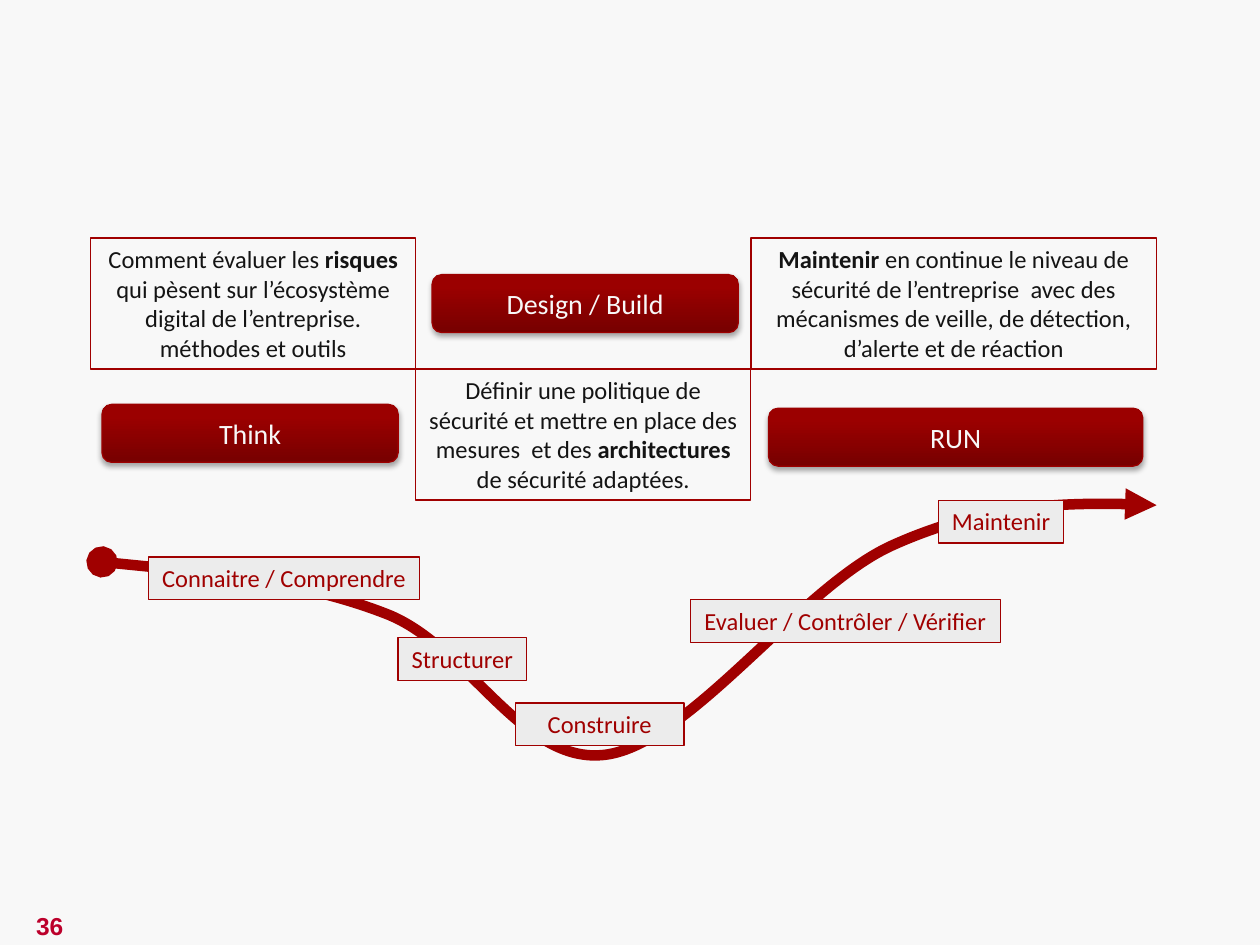
from dataclasses import dataclass

from lxml.etree import SubElement
from pptx import Presentation
from pptx.dml.color import RGBColor
from pptx.enum.shapes import MSO_SHAPE
from pptx.enum.text import MSO_ANCHOR, MSO_AUTO_SIZE, PP_ALIGN
from pptx.oxml.ns import qn
from pptx.shapes.autoshape import Shape
from pptx.slide import Slide
from pptx.util import Inches, Pt


@dataclass(frozen=True)
class Theme:
    """Colours, fonts and sizes of the slide."""
    back: str = "F8F8F8"
    ink: str = "141414"
    red: str = "A00000"
    edge: str = "9C0000"
    dark: str = "770000"
    glow: str = "9B0000"
    tag: str = "ECECEC"
    page: str = "BC002B"
    face: str = "Calibri"
    body: int = 14
    head: int = 16
    thin: float = 0.75
    thick: int = 6


@dataclass(frozen=True)
class Box:
    """A labelled frame in inches, with bold text between asterisks."""
    text: str
    left: float
    top: float
    width: float
    height: float
    wrap: bool = True


LOOK = Theme()
ROW, TAG, BAR = 1.04, 0.34, 0.46

NOTES = [
    Box("Comment évaluer les *risques* qui pèsent sur l’écosystème digital "
        "de l’entreprise. méthodes et outils", 0.72, 1.89, 2.58, ROW),
    Box("Définir une politique de sécurité et mettre en place des mesures  et des "
        "*architectures* de sécurité adaptées.", 3.3, 1.89 + ROW, 2.66, ROW),
    Box("*Maintenir* en continue le niveau de sécurité de l’entreprise  avec des "
        "mécanismes de veille, de détection, d’alerte et de réaction",
        5.96, 1.89, 3.22, ROW),
]
STEPS = [
    Box("Connaitre / Comprendre", 1.18, 4.42, 2.15, TAG, False),
    Box("Structurer", 3.16, 5.06, 1.02, TAG, False),
    Box("Construire", 4.09, 5.58, 1.34, TAG),
    Box("Evaluer / Contrôler / Vérifier", 5.48, 4.76, 2.46, TAG, False),
    Box("Maintenir", 7.45, 3.97, 0.99, TAG, False),
]
PHASES = [
    Box("Think", 0.81, 3.21, 2.35, BAR),
    Box("Design / Build", 3.43, 2.18, 2.43, BAR),
    Box("RUN", 6.1, 3.24, 2.97, BAR),
]
START = (0.81, 4.46)
BENDS = [
    (1.6, 4.54), (2.39, 4.61), (3.06, 4.87),
    (3.72, 5.12), (4.14, 6.08), (4.81, 5.99),
    (5.48, 5.9), (6.35, 4.66), (7.08, 4.33),
    (7.81, 4), (8.66, 3.98), (9.18, 4.01),
]


def tint(code: str) -> RGBColor:
    """Turn a hex code into a colour."""
    return RGBColor.from_string(code)


def write(shape: Shape, box: Box, color: str, size: int, face: str = LOOK.face,
          bold: bool = False) -> None:
    """Fill a shape with centred text."""
    frame = shape.text_frame
    frame.word_wrap = box.wrap
    para = frame.paragraphs[0]
    para.alignment = PP_ALIGN.CENTER
    font = para.font
    font.name, font.size, font.bold = face, Pt(size), bold
    font.color.rgb = tint(color)
    for index, part in enumerate(box.text.split("*")):
        if part:
            run = para.add_run()
            run.text = part
            if index % 2:
                run.font.bold = True


def place(box: Box) -> tuple:
    """Give the frame of a box as lengths."""
    return tuple(Inches(n) for n in (box.left, box.top, box.width, box.height))


def add_box(slide: Slide, box: Box, kind: MSO_SHAPE, edge: str) -> Shape:
    """Add a plain outlined shape."""
    shape = slide.shapes.add_shape(kind, *place(box))
    shape.shadow.inherit = False
    shape.line.color.rgb = tint(edge)
    shape.line.width = Pt(LOOK.thin)
    return shape


def add_card(slide: Slide, box: Box, color: str, fill: str = "") -> None:
    """Add a rectangle that fits its text."""
    shape = add_box(slide, box, MSO_SHAPE.RECTANGLE, LOOK.red)
    if fill:
        shape.fill.solid()
        shape.fill.fore_color.rgb = tint(fill)
    else:
        shape.fill.background()
    write(shape, box, color, LOOK.body)
    shape.text_frame.vertical_anchor = MSO_ANCHOR.TOP
    shape.text_frame.auto_size = MSO_AUTO_SIZE.SHAPE_TO_FIT_TEXT


def add_phase(slide: Slide, box: Box) -> None:
    """Add a shaded, rounded phase bar."""
    shape = add_box(slide, box, MSO_SHAPE.ROUNDED_RECTANGLE, LOOK.edge)
    shape.fill.gradient()
    shape.fill.gradient_angle = 90
    for stop, spot, code in zip(shape.fill.gradient_stops, (0, 0.8), (LOOK.dark, LOOK.glow)):
        stop.position = spot
        stop.color.rgb = tint(code)
    glow = shape.element.spPr.find(qn("a:effectLst"))
    cast = SubElement(glow, qn("a:outerShdw"), blurRad=str(Pt(3.1)), dist=str(Pt(1.8)),
                      dir="5400000", rotWithShape="0")
    black = SubElement(cast, qn("a:srgbClr"), val="000000")
    SubElement(black, qn("a:alpha"), val="35000")
    write(shape, box, LOOK.back, LOOK.head)
    frame = shape.text_frame
    frame.vertical_anchor = MSO_ANCHOR.MIDDLE
    frame.margin_left = frame.margin_right = Inches(0.07)
    frame.margin_top = frame.margin_bottom = Inches(0.03)


def add_curve(slide: Slide) -> None:
    """Add the smooth arrow behind the steps."""
    pen = slide.shapes.build_freeform(*map(Inches, START))
    pen.add_line_segments([tuple(map(Inches, spot)) for spot in BENDS], close=False)
    shape = pen.convert_to_shape()
    shape.shadow.inherit = False
    shape.fill.background()
    shape.line.color.rgb = tint(LOOK.red)
    shape.line.width = Pt(LOOK.thick)
    lines = shape.element.xpath(".//a:lnTo")
    track = lines[0].getparent()
    for first in range(0, len(lines), 3):
        curve = SubElement(track, qn("a:cubicBezTo"))
        for line in lines[first:first + 3]:
            curve.append(line[0])
            track.remove(line)
    stroke = shape.element.spPr.find(qn("a:ln"))
    SubElement(stroke, qn("a:headEnd"), type="oval")
    SubElement(stroke, qn("a:tailEnd"), type="triangle")


def add_page(slide: Slide) -> None:
    """Add the page number."""
    box = Box("36", -0.02, 7.18, 0.83, 0.34)
    shape = slide.shapes.add_textbox(*place(box))
    write(shape, box, LOOK.page, LOOK.body, "Arial", True)
    shape.text_frame.vertical_anchor = MSO_ANCHOR.MIDDLE


def main() -> None:
    """Build and save the slide."""
    deck = Presentation()
    deck.slide_width, deck.slide_height = Inches(10), Inches(7.5)
    slide = deck.slides.add_slide(deck.slide_layouts[6])
    slide.background.fill.solid()
    slide.background.fill.fore_color.rgb = tint(LOOK.back)
    add_page(slide)
    add_curve(slide)
    for note in NOTES:
        add_card(slide, note, LOOK.ink)
    for step in STEPS:
        add_card(slide, step, LOOK.red, LOOK.tag)
    for phase in PHASES:
        add_phase(slide, phase)
    deck.save("out.pptx")


if __name__ == "__main__":
    main()
